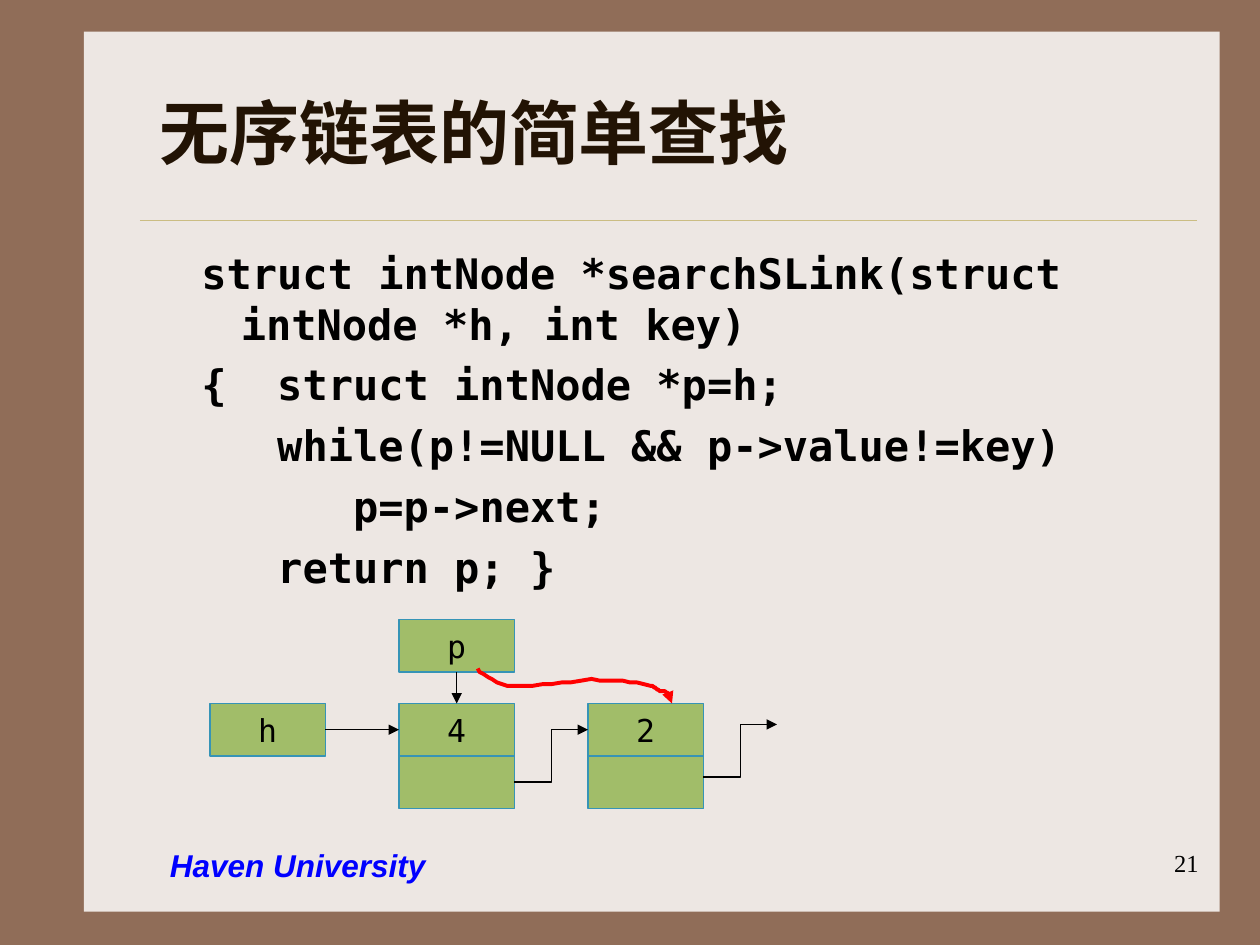
from lxml.etree import SubElement
from pptx import Presentation
from pptx.dml.color import RGBColor
from pptx.enum.shapes import MSO_CONNECTOR as LINK, MSO_SHAPE as SHAPE
from pptx.enum.text import MSO_ANCHOR as ANCHOR, PP_ALIGN as ALIGN
from pptx.oxml.ns import qn
from pptx.util import Pt

MONO = "DejaVu Sans Mono"


def color(hex_code):
    return RGBColor.from_string(hex_code)


def add_text(para, text, size, font, hex_code, bold=False, italic=False):
    span = para.add_run()
    span.text = text
    span.font.size = Pt(size)
    span.font.name = font
    span.font.color.rgb = color(hex_code)
    span.font.bold = bold
    span.font.italic = italic


deck = Presentation()
deck.slide_width, deck.slide_height = Pt(720), Pt(540)
page = deck.slides.add_slide(deck.slide_layouts[6])
shapes = page.shapes

# Brown border around a light panel
page.background.fill.solid()
page.background.fill.fore_color.rgb = color("906D58")
panel = shapes.add_shape(SHAPE.RECTANGLE, Pt(48), Pt(18), Pt(649), Pt(503))
panel.shadow.inherit = False
panel.fill.solid()
panel.fill.fore_color.rgb = color("EDE7E3")
panel.line.fill.background()

# Title, page number and footer
for text, left, top, width, height, size, font, hex_code, bold, italic, align, anchor in [
    ("无序链表的简单查找", 84, 30, 600, 90, 40, MONO, "221304", True, False, ALIGN.LEFT, ANCHOR.MIDDLE),
    ("21", 542, 481, 150, 36, 14, "Times New Roman", "000000", False, False, ALIGN.RIGHT, ANCHOR.TOP),
    ("Haven University", 90, 480, 204, 29, 18, "Arial", "0000FF", True, True, ALIGN.LEFT, ANCHOR.TOP),
]:
    box = shapes.add_textbox(Pt(left), Pt(top), Pt(width), Pt(height))
    box.text_frame.word_wrap = True
    box.text_frame.vertical_anchor = anchor
    para = box.text_frame.paragraphs[0]
    para.alignment = align
    add_text(para, text, size, font, hex_code, bold, italic)

# Code: text, left margin, first-line indent; one level is three characters wide
level = 43.35
code = [
    ("struct intNode *searchSLink(struct intNode *h, int key)", 58.5, -22.5),
    ("{\tstruct intNode *p=h;", 36 + level, -level),
    ("while(p!=NULL && p->value!=key)", 36 + level, 0),
    ("p=p->next;", 36 + 2 * level, 0),
    ("return p; }", 36 + level, 0),
]
box = shapes.add_textbox(Pt(72), Pt(138), Pt(600), Pt(324))
frame = box.text_frame
frame.word_wrap = True
for index, (text, margin, indent) in enumerate(code):
    para = frame.add_paragraph() if index else frame.paragraphs[0]
    para.space_before = Pt(6)
    props = para._p.get_or_add_pPr()
    props.set("marL", str(Pt(margin)))
    props.set("indent", str(Pt(indent)))
    add_text(para, text, 24, MONO, "000000", bold=True)

# Boxes of the linked list
cells = {}
for name, text, left, top in [
    ("h", "h", 120, 402),
    ("first", "4", 228, 402),
    ("first next", "", 228, 432),
    ("second", "2", 336, 402),
    ("second next", "", 336, 432),
    ("p", "p", 228, 354),
]:
    cell = shapes.add_shape(SHAPE.RECTANGLE, Pt(left), Pt(top), Pt(66), Pt(30))
    cell.shadow.inherit = False
    cell.fill.solid()
    cell.fill.fore_color.rgb = color("A1BD69")
    cell.line.color.rgb = color("3694B6")
    cell.line.width = Pt(0.75)
    if text:
        cell.text_frame.word_wrap = False
        cell.text_frame.vertical_anchor = ANCHOR.MIDDLE
        para = cell.text_frame.paragraphs[0]
        para.alignment = ALIGN.CENTER
        add_text(para, text, 18, MONO, "000000")
    cells[name] = cell

# Title rule and black arrows: kind, ends, colour, width, joined boxes with sites
lines = []
for kind, x1, y1, x2, y2, hex_code, weight, start, end in [
    (LINK.STRAIGHT, 80, 126, 684, 126, "CBBD83", 0.25, None, None),
    (LINK.STRAIGHT, 186, 417, 228, 417, "000000", 0.75, ("h", 3), ("first", 1)),
    (LINK.STRAIGHT, 261, 384, 261, 402, "000000", 0.75, ("p", 2), ("first", 0)),
    (LINK.ELBOW, 294, 447, 336, 417, "000000", 0.75, None, None),
    (LINK.ELBOW, 402, 444, 444, 414, "000000", 0.75, None, None),
]:
    line = shapes.add_connector(kind, Pt(x1), Pt(y1), Pt(x2), Pt(y2))
    line.line.color.rgb = color(hex_code)
    line.line.width = Pt(weight)
    if start:
        line.begin_connect(cells[start[0]], start[1])
        line.end_connect(cells[end[0]], end[1])
    SubElement(line._element.spPr, qn("a:effectLst"))
    lines.append(line)

# Red curve from p to the second node, sampled from Bezier pieces
pieces = [
    [(276, 386), (285, 391.5), (292.5, 392.5)],
    [(308, 391.5), (322.5, 390), (337.5, 388.5)],
    [(351.5, 389.5), (361, 389), (372, 391.5)],
    [(373.5, 392), (374.5, 393), (375, 394)],
    [(377.5, 394.5), (381.5, 396), (381.5, 396)],
    [(382.5, 397.5), (383.5, 402), (383.5, 402)],
]
start = (273, 382.5)
steps = 8
points = []
here = start
for first, second, end in pieces:
    for step in range(1, steps + 1):
        t = step / steps
        points.append(tuple(
            (1 - t) ** 3 * a + 3 * (1 - t) ** 2 * t * b + 3 * (1 - t) * t ** 2 * c + t ** 3 * d
            for a, b, c, d in zip(here, first, second, end)))
    here = end
builder = shapes.build_freeform(*start, scale=Pt(1))
builder.add_line_segments(points, close=False)
curve = builder.convert_to_shape()
curve.shadow.inherit = False
curve.fill.background()
curve.line.color.rgb = color("FF0000")
curve.line.width = Pt(2.25)

# Arrowheads
for arrow in lines[1:] + [curve]:
    SubElement(arrow.line._get_or_add_ln(), qn("a:tailEnd"), type="triangle")

deck.save("out.pptx")
